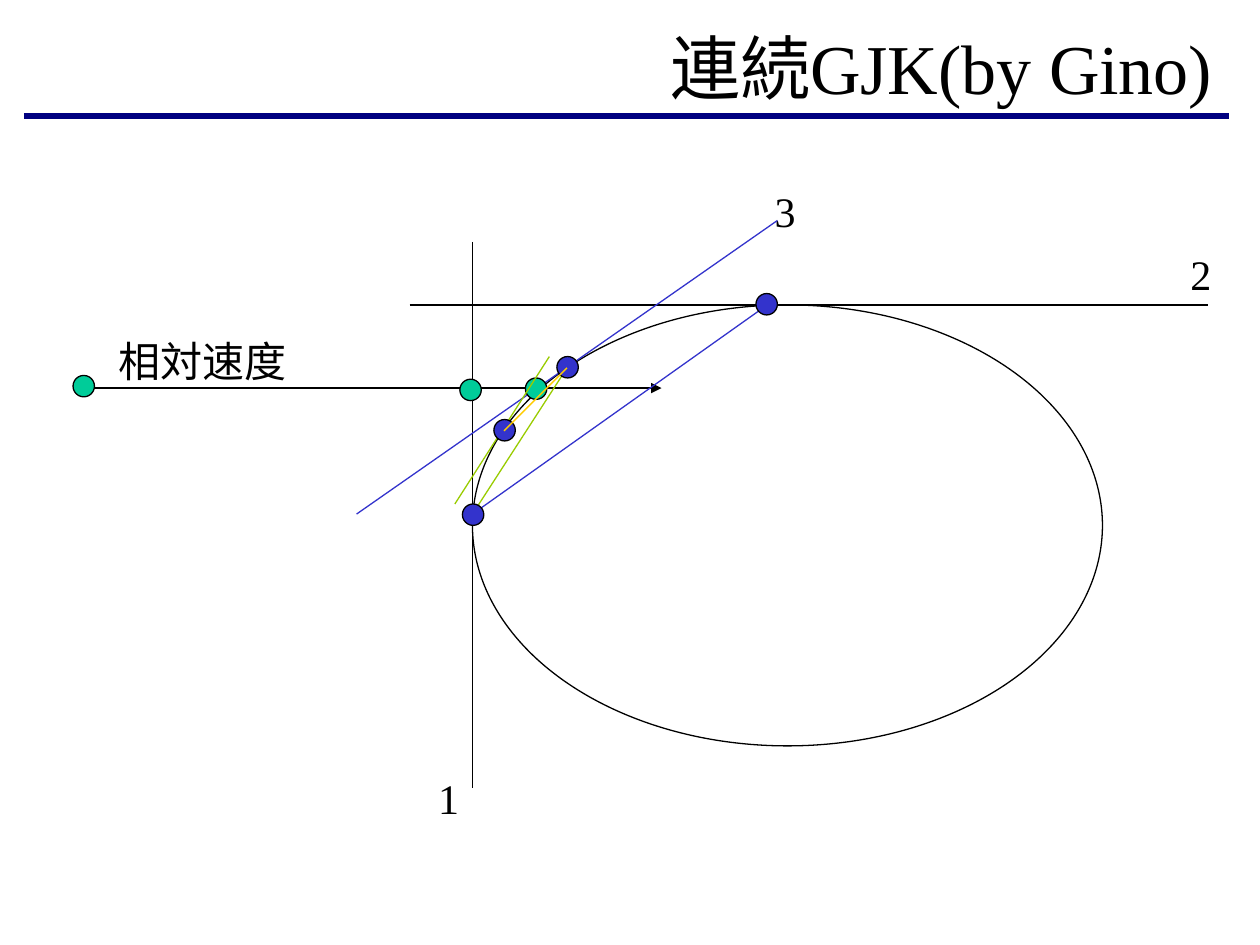
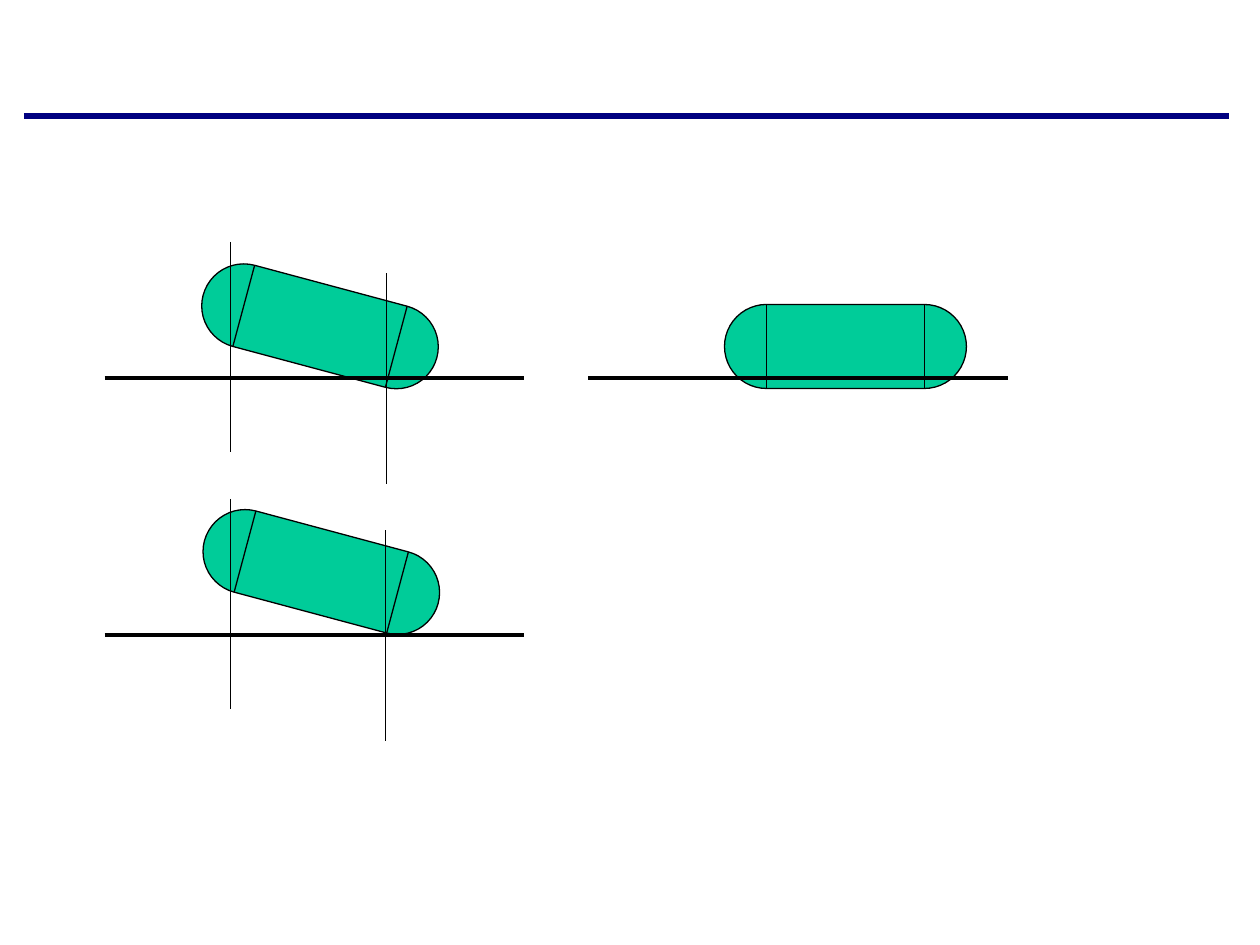
from math import cos, radians, sin

from lxml import etree
from pptx import Presentation
from pptx.dml.color import RGBColor
from pptx.enum.shapes import MSO_CONNECTOR as Connector, MSO_SHAPE as Shape
from pptx.enum.text import MSO_ANCHOR as Anchor, MSO_AUTO_SIZE as AutoSize, PP_ALIGN as Align
from pptx.oxml.ns import qn
from pptx.util import Inches, Pt

COLORS = {"black": "000000", "navy": "000080", "blue": "3333CC",
          "teal": "00CC99", "lime": "99CC00", "gold": "FFCC00"}
FONT = "Times New Roman"
THIN, THICK, RULE = 0.75, 2, 3


def add_line(shapes, start, end, color="black", width=THIN):
    line = shapes.add_connector(Connector.STRAIGHT, *map(Inches, start + end))
    line.line.color.rgb = RGBColor.from_string(COLORS[color])
    line.line.width = Pt(width)
    etree.SubElement(line._element.spPr, qn("a:effectLst"))
    return line


def add_outlined(shapes, kind, frame, fill=None):
    shape = shapes.add_shape(kind, *map(Inches, frame))
    shape.shadow.inherit = False
    shape.line.color.rgb = RGBColor.from_string(COLORS["black"])
    shape.line.width = Pt(THIN)
    if fill:
        shape.fill.solid()
        shape.fill.fore_color.rgb = RGBColor.from_string(COLORS[fill])
    else:
        shape.fill.background()
    return shape


deck = Presentation()
deck.slide_width, deck.slide_height = Inches(10), Inches(7.5)

# Both pages carry the rule under the title area
pages = [deck.slides.add_slide(deck.slide_layouts[6]) for _ in range(2)]
for page in pages:
    add_line(page.shapes, (0.19, 0.92), (9.75, 0.92), "navy", RULE)
gjk, capsules = (page.shapes for page in pages)

# Page 1: title and labels
for text, frame, size in [
    ("連続GJK(by Gino)", (1.02, 0.17, 8.7, 0.72), 40),
    ("1", (3.38, 6.08, 0.36, 0.5), 24),
    ("2", (9.35, 1.92, 0.36, 0.5), 24),
    ("3", (6.05, 1.42, 0.36, 0.5), 24),
    ("相対速度", (0.84, 2.61, 1.53, 0.5), 24),
]:
    is_title = size == 40
    box = gjk.add_textbox(*map(Inches, frame))
    box.text_frame.text = text
    box.text_frame.word_wrap = is_title
    box.text_frame.auto_size = AutoSize.NONE if is_title else AutoSize.SHAPE_TO_FIT_TEXT
    box.text_frame.vertical_anchor = Anchor.MIDDLE if is_title else Anchor.TOP
    para = box.text_frame.paragraphs[0]
    para.alignment = Align.RIGHT if is_title else Align.LEFT
    span = para.runs[0]
    span.font.name, span.font.size = FONT, Pt(size)
    span.font.color.rgb = RGBColor.from_string(COLORS["black"])

# Page 1: convex body, relative velocity and support lines
add_outlined(gjk, Shape.OVAL, (3.75, 2.42, 5, 3.5))
velocity = add_line(gjk, (0.75, 3.08), (5.25, 3.08))
etree.SubElement(velocity.line._get_or_add_ln(), qn("a:tailEnd"), type="triangle")
for start, end, color in [
    ((3.75, 1.92), (3.75, 6.25), "black"),
    ((3.25, 2.42), (9.59, 2.42), "black"),
    ((3.75, 4.08), (6.09, 2.42), "blue"),
    ((6.17, 1.75), (2.83, 4.08), "blue"),
    ((4.5, 2.92), (3.75, 4.08), "lime"),
]:
    add_line(gjk, start, end, color)

# Page 1: points, with the last support line below the final one
DOT = 0.17
final_point = (3.92, 3.33)
for left, top, color in [
    (0.58, 2.98, "teal"), (3.65, 3.01, "teal"),
    (3.67, 4, "blue"), (6, 2.33, "blue"), (4.42, 2.83, "blue"),
    (4.17, 3, "teal"), (*final_point, "blue"),
]:
    if (left, top) == final_point:
        add_line(gjk, (4.36, 2.83), (3.61, 4), "lime")
    add_outlined(gjk, Shape.OVAL, (left, top, DOT, DOT), color)
add_line(gjk, (4.5, 2.92), (4, 3.42), "gold")

# Page 2: capsules on the floor; each seam crosses where a round end begins
LENGTH, RADIUS, FLOOR = 1.92, 1 / 3, 3.33
SEAM_OFFSET = LENGTH / 2 - RADIUS
for center_x, center_y, tilt, floor_left, floor_y, verticals in [
    (2.54, 2.59, 15, 0.83, 3, [(3.07, 2.17), (1.83, 1.92)]),
    (6.71, 2.75, 0, 4.67, 3, []),
    (2.55, 4.54, 15, 0.83, 5.04, [(3.06, 4.21), (1.83, 3.96)]),
]:
    capsule = capsules.add_group_shape().shapes
    body = add_outlined(capsule, Shape.ROUNDED_RECTANGLE,
                        (center_x - LENGTH / 2, center_y - RADIUS, LENGTH, 2 * RADIUS), "teal")
    body.adjustments[0] = 0.5
    body.rotation = tilt
    along_x, along_y = cos(radians(tilt)), sin(radians(tilt))
    for offset in (-SEAM_OFFSET, SEAM_OFFSET):
        seam_x, seam_y = center_x + offset * along_x, center_y + offset * along_y
        add_line(capsule, (seam_x + RADIUS * along_y, seam_y - RADIUS * along_x),
                 (seam_x - RADIUS * along_y, seam_y + RADIUS * along_x))
    add_line(capsules, (floor_left, floor_y), (floor_left + FLOOR, floor_y), width=THICK)
    for x, top in verticals:
        add_line(capsules, (x, top), (x, top + 1.67))

deck.save("out.pptx")
